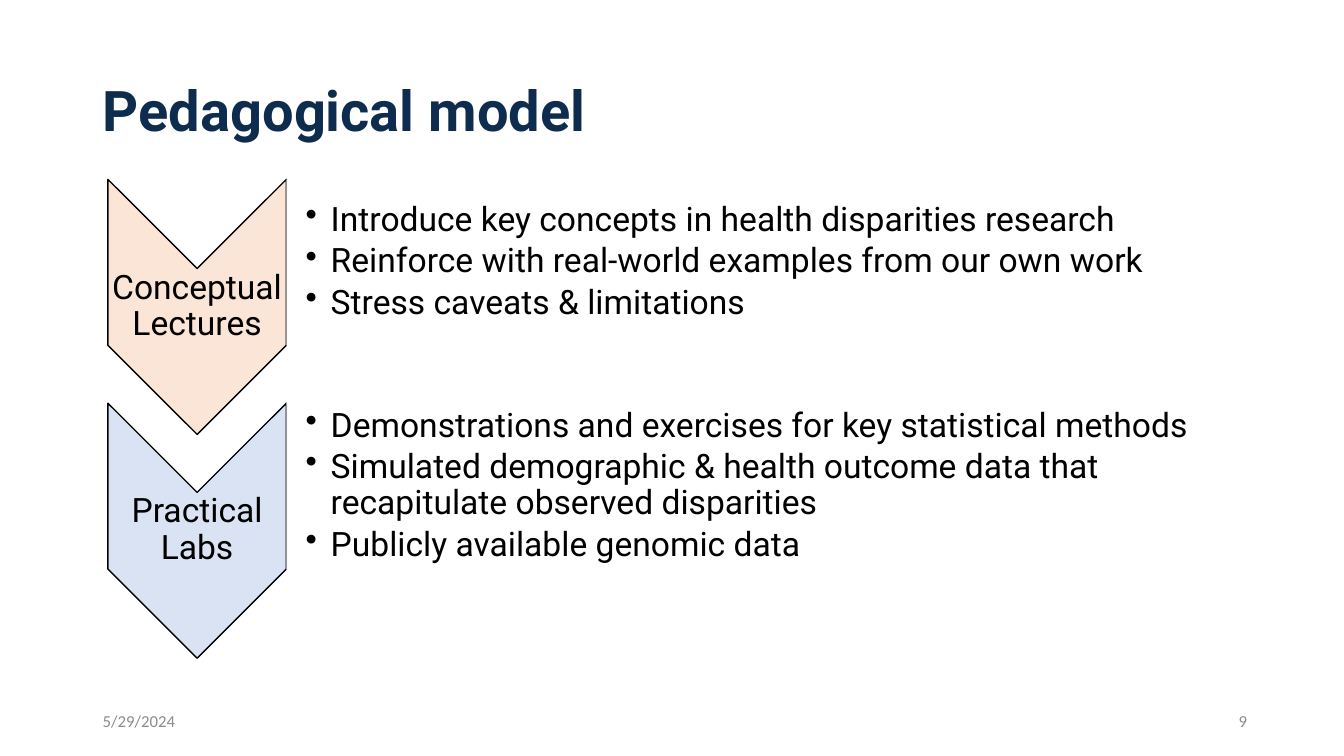
from pptx import Presentation, util as u
from pptx.dml.color import RGBColor
from pptx.enum import shapes, text
from pptx.oxml.ns import qn
from lxml import etree

PX = 9144  # EMU per px, 100 px to the inch
NAVY = RGBColor(0x0E, 0x2C, 0x4D)
BLACK = RGBColor(0, 0, 0)
WHITE = RGBColor(255, 255, 255)
GREY = RGBColor(0x8C, 0x8C, 0x8C)
PEACH = RGBColor(0xFB, 0xE5, 0xD6)
PALE_BLUE = RGBColor(0xDA, 0xE3, 0xF3)

TITLE = "Pedagogical model"
STAGES = [
    ("Conceptual Lectures", PEACH, [
        "Introduce key concepts in health disparities research",
        "Reinforce with real-world examples from our own work",
        "Stress caveats & limitations",
    ]),
    ("Practical Labs", PALE_BLUE, [
        "Demonstrations and exercises for key statistical methods",
        "Simulated demographic & health outcome data that recapitulate observed disparities",
        "Publicly available genomic data",
    ]),
]
FOOTERS = [
    ("5/29/2024", 92, text.PP_ALIGN.LEFT),
    ("9", 942, text.PP_ALIGN.RIGHT),
]

STAGE_TOP, STAGE_STEP = 178, 222
CHEVRON_LEFT, CHEVRON_WIDTH, CHEVRON_HEIGHT = 107, 177, 253
PANEL_LEFT = CHEVRON_LEFT + CHEVRON_WIDTH
PANEL_WIDTH, PANEL_HEIGHT = 973, 165

TITLE_FONT = dict(name="Roboto", size=u.Pt(40), bold=True)
BODY_FONT = dict(name="Roboto", size=u.Pt(24))
FOOTER_FONT = dict(name="Calibri", size=u.Pt(12))
CENTRED = dict(alignment=text.PP_ALIGN.CENTER, line_spacing=0.9, space_after=u.Pt(8.4))
LISTED = dict(alignment=text.PP_ALIGN.LEFT, line_spacing=0.9, space_after=u.Pt(3.6))


def set_all(target, values):
    for name, value in values.items():
        setattr(target, name, value)


def write(shape, lines, font, color, layout, left_inset=10, inset=5, bulleted=False):
    """Fill a shape with one paragraph per line, anchored in the middle."""
    frame = shape.text_frame
    set_all(frame, dict(
        word_wrap=True, auto_size=text.MSO_AUTO_SIZE.NONE,
        vertical_anchor=text.MSO_ANCHOR.MIDDLE,
        margin_left=left_inset * PX, margin_right=inset * PX,
        margin_top=inset * PX, margin_bottom=inset * PX))
    for i, line in enumerate(lines):
        paragraph = frame.paragraphs[0] if i == 0 else frame.add_paragraph()
        paragraph.text = line
        set_all(paragraph, layout)
        if bulleted:
            properties = paragraph._p.get_or_add_pPr()
            properties.set("marL", str(25 * PX))
            properties.set("indent", str(-25 * PX))
            etree.SubElement(properties, qn("a:buChar"), char="•")
        set_all(paragraph.font, font)
        paragraph.font.color.rgb = color


def add_box(slide, left, top, width, height):
    return slide.shapes.add_textbox(left * PX, top * PX, width * PX, height * PX)


def add_turned(slide, kind, left, top, width, height, fill):
    """Add a shape turned by 90 degrees that covers the given box."""
    shift = (width - height) / 2
    bounds = (left + shift, top - shift, height, width)
    shape = slide.shapes.add_shape(kind, *(int(v * PX) for v in bounds))
    shape.rotation = 90
    shape.shadow.inherit = False
    shape.fill.solid()
    shape.fill.fore_color.rgb = fill
    return shape


def add_stage(slide, top, label, color, points):
    chevron = add_turned(slide, shapes.MSO_SHAPE.CHEVRON, CHEVRON_LEFT, top,
                         CHEVRON_WIDTH, CHEVRON_HEIGHT, color)
    chevron.line.color.rgb = BLACK
    chevron.line.width = u.Pt(1)
    label_box = add_box(slide, CHEVRON_LEFT, top + 88, CHEVRON_WIDTH, 76)
    write(label_box, [label], BODY_FONT, BLACK, CENTRED, left_inset=2, inset=2)

    panel = add_turned(slide, shapes.MSO_SHAPE.ROUND_2_SAME_RECTANGLE, PANEL_LEFT, top,
                       PANEL_WIDTH, PANEL_HEIGHT, WHITE)
    panel.line.fill.background()
    fill_color = panel.fill._xPr.find(qn("a:solidFill"))[0]
    etree.SubElement(fill_color, qn("a:alpha"), val="90000")
    points_box = add_box(slide, PANEL_LEFT, top + 8, 965, 148)
    write(points_box, points, BODY_FONT, BLACK, LISTED, left_inset=19, inset=2, bulleted=True)


def main():
    deck = Presentation()
    deck.slide_width, deck.slide_height = 1333 * PX, 750 * PX
    slide = deck.slides.add_slide(deck.slide_layouts[5])

    title = slide.shapes.title
    set_all(title, dict(left=92 * PX, top=40 * PX, width=1150 * PX, height=145 * PX))
    write(title, [TITLE], TITLE_FONT, NAVY,
          dict(alignment=text.PP_ALIGN.LEFT, line_spacing=0.9))

    for line, left, alignment in FOOTERS:
        write(add_box(slide, left, 695, 300, 40), [line], FOOTER_FONT, GREY,
              dict(alignment=alignment))

    for i, stage in enumerate(STAGES):
        add_stage(slide, STAGE_TOP + i * STAGE_STEP, *stage)

    deck.save("out.pptx")


if __name__ == "__main__":
    main()
